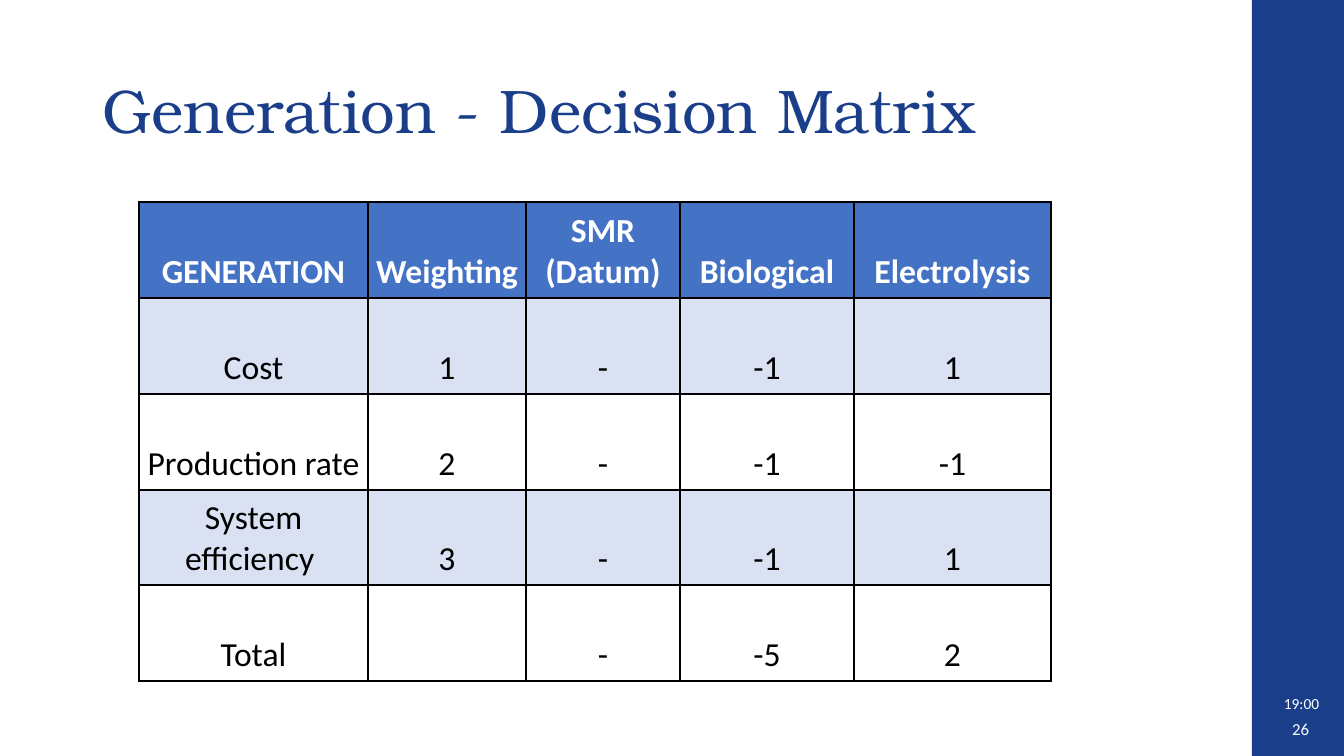
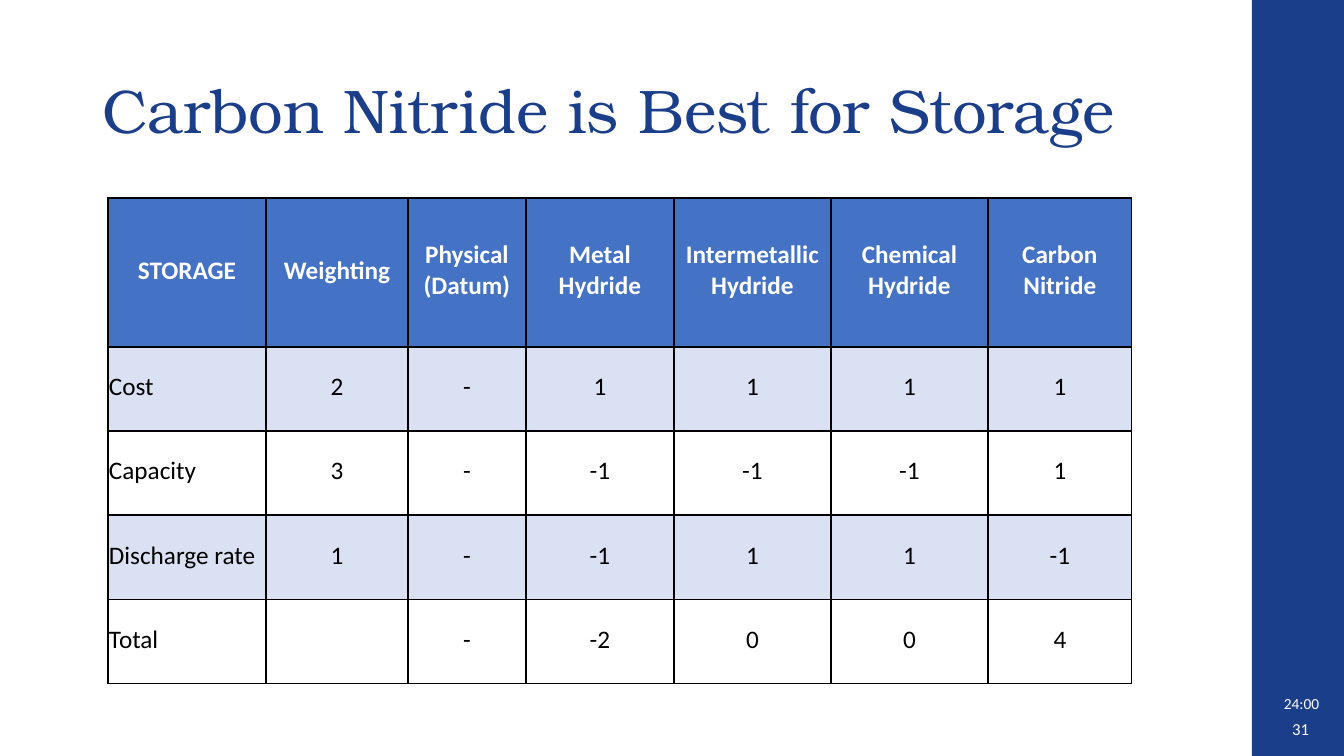
"""Build two decision matrix slides that share a title style and a side band."""
import pptx
import pptx.util
import pptx.dml.color
import pptx.enum.shapes
import pptx.enum.text
import pptx.oxml.ns
import lxml.etree

ALIGN = pptx.enum.text.PP_ALIGN
ANCHOR = pptx.enum.text.MSO_ANCHOR
FIT = pptx.enum.text.MSO_AUTO_SIZE
SCALE = 914400 / 100.8
SIZE = (1344, 756)
BAND = (1252, 0, 92, 756)
TITLE = (92, 41, 1159, 146)
TIME = (1274, 689, 57, 29)
PAGE = (1278, 709, 41, 40)
INSET = (1, 1, 1, 5)

THEME = {
    "navy": "1B3E8A", "head": "4472C4", "tint": "D9E1F2",
    "white": "FFFFFF", "black": "000000",
    "serif": "TeX Gyre Bonum", "sans": "Calibri",
    "title": 44, "page": 12, "time": 11, "line": 1,
}

SLIDES = [
    {
        "title": "Generation - Decision Matrix", "time": "19:00", "page": "26",
        "at": (139, 202), "cols": (229, 158, 154, 174, 197),
        "rows": (96, 96, 96, 95, 96),
        "size": 24, "anchor": ANCHOR.BOTTOM, "label": ALIGN.CENTER,
        "cells": [
            ("GENERATION", "Weighting", "SMR (Datum)", "Biological", "Electrolysis"),
            ("Cost", "1", "-", "-1", "1"),
            ("Production rate", "2", "-", "-1", "-1"),
            ("System efficiency ", "3", "-", "-1", "1"),
            ("Total", "", "-", "-5", "2"),
        ],
    },
    {
        "title": "Carbon Nitride is Best for Storage", "time": "24:00", "page": "31",
        "at": (108, 198), "cols": (158, 142, 118, 148, 157, 157, 144),
        "rows": (149, 84, 84, 85, 84),
        "size": 18, "anchor": ANCHOR.MIDDLE, "label": ALIGN.LEFT,
        "cells": [
            ("STORAGE", "Weighting", "Physical\n(Datum)", "Metal Hydride",
             "Intermetallic Hydride", "Chemical Hydride", "Carbon Nitride"),
            ("Cost", "2", "-", "1", "1", "1", "1"),
            ("Capacity", "3", "-", "-1", "-1", "-1", "1"),
            ("Discharge rate", "1", "-", "-1", "1", "1", "-1"),
            ("Total", "", "-", "-2", "0", "0", "4"),
        ],
    },
]


def px(*nums):
    return [round(num * SCALE) for num in nums]


def rgb(name):
    return pptx.dml.color.RGBColor.from_string(THEME[name])


def write(frame, text, size, color="white", face="sans", bold=False,
          align=ALIGN.LEFT, space=None):
    frame.text = text
    for para in frame.paragraphs:
        para.alignment = align
        para.line_spacing = space
        for run in para.runs:
            font = run.font
            font.size = pptx.util.Pt(size)
            font.name = THEME[face]
            font.bold = bold
            font.color.rgb = rgb(color)


def border(cell):
    qn = pptx.oxml.ns.qn
    props = cell._tc.get_or_add_tcPr()
    for side in ("lnL", "lnR", "lnT", "lnB"):
        line = lxml.etree.SubElement(
            props, qn("a:" + side), w=str(pptx.util.Pt(THEME["line"])))
        fill = lxml.etree.SubElement(line, qn("a:solidFill"))
        lxml.etree.SubElement(fill, qn("a:srgbClr"), val=THEME["black"])


def paint(item, name):
    if name:
        item.fill.solid()
        item.fill.fore_color.rgb = rgb(name)
    else:
        item.fill.background()


def matrix(slide, data):
    cols, rows = data["cols"], data["rows"]
    area = px(*data["at"], sum(cols), sum(rows))
    table = slide.shapes.add_table(len(rows), len(cols), *area).table
    table.horz_banding = False
    for col, wide in zip(table.columns, px(*cols)):
        col.width = wide
    for row, high in zip(table.rows, px(*rows)):
        row.height = high
    for r, line in enumerate(data["cells"]):
        head = r == 0
        for c, text in enumerate(line):
            cell = table.cell(r, c)
            border(cell)
            paint(cell, "head" if head else "tint" if r % 2 else None)
            (cell.margin_left, cell.margin_right,
             cell.margin_top, cell.margin_bottom) = px(*INSET)
            cell.vertical_anchor = data["anchor"]
            write(cell.text_frame, text, data["size"], bold=head,
                  color="white" if head else "black",
                  align=data["label"] if c == 0 and not head else ALIGN.CENTER)


def note(slide, area, text, size, align=ALIGN.LEFT, anchor=ANCHOR.TOP, fit=FIT.NONE):
    frame = slide.shapes.add_textbox(*px(*area)).text_frame
    frame.word_wrap = True
    frame.auto_size = fit
    frame.vertical_anchor = anchor
    write(frame, text, size, align=align)


def stripe(slide):
    kind = pptx.enum.shapes.MSO_SHAPE.RECTANGLE
    band = slide.shapes.add_shape(kind, *px(*BAND))
    band.shadow.inherit = False
    paint(band, "navy")
    band.line.fill.background()


def main():
    deck = pptx.Presentation()
    deck.slide_width, deck.slide_height = px(*SIZE)
    layout = deck.slide_layouts[5]
    title = layout.placeholders[0]
    title.left, title.top, title.width, title.height = px(*TITLE)
    for data in SLIDES:
        slide = deck.slides.add_slide(layout)
        stripe(slide)
        frame = slide.shapes.title.text_frame
        frame.auto_size = FIT.NONE
        frame.vertical_anchor = ANCHOR.MIDDLE
        write(frame, data["title"], THEME["title"], color="navy",
              face="serif", space=0.9)
        matrix(slide, data)
        note(slide, TIME, data["time"], THEME["time"], fit=FIT.SHAPE_TO_FIT_TEXT)
        note(slide, PAGE, data["page"], THEME["page"],
             align=ALIGN.RIGHT, anchor=ANCHOR.MIDDLE)
    deck.save("out.pptx")


if __name__ == "__main__":
    main()
